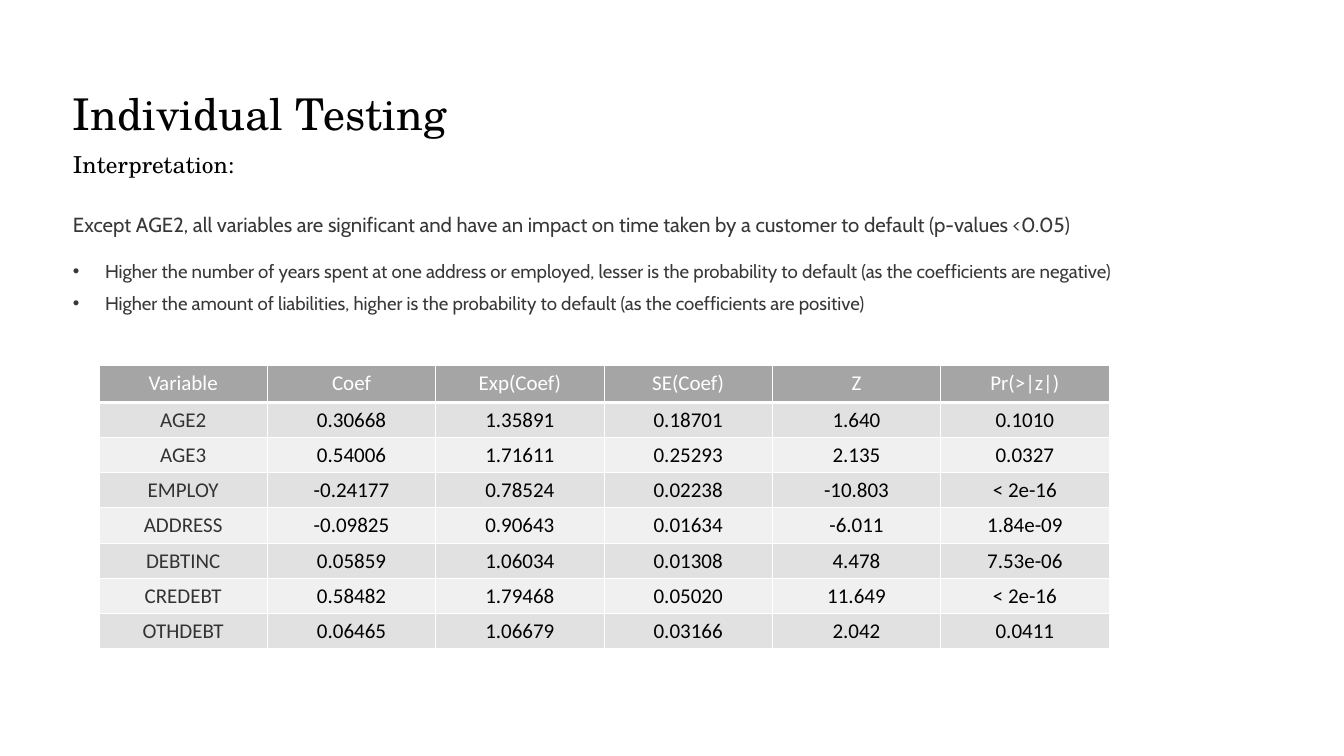
from lxml.etree import SubElement
from pptx import Presentation
from pptx.dml.color import RGBColor
from pptx.enum.text import MSO_ANCHOR as Anchor, PP_ALIGN as Align
from pptx.oxml.ns import qn
from pptx.util import Emu, Pt

COLORS = {
    "white": "FFFFFF", "title": "020202", "body": "383838",
    "header": "A5A5A5", "dark band": "E1E1E1", "light band": "F0F0F0",
    "label": "333333", "value": "000000",
}
SERIF, SANS, TABLE_FONT = "TeX Gyre Schola", "Cabin", "Calibri"
LEFT = 73
BULLET_INDENT = 32

TITLE = "Individual Testing"
SUBTITLE = "Interpretation:"
FINDING = ("Except AGE2, all variables are significant and have an impact on time "
           "taken by a customer to default (p-values <0.05)")
BULLETS = [
    "Higher the number of years spent at one address or employed, lesser is the "
    "probability to default (as the coefficients are negative)",
    "Higher the amount of liabilities, higher is the probability to default "
    "(as the coefficients are positive)",
]
RESULTS = [
    ("Variable", "Coef", "Exp(Coef)", "SE(Coef)", "Z", "Pr(>|z|)"),
    ("AGE2", "0.30668", "1.35891", "0.18701", "1.640", "0.1010"),
    ("AGE3", "0.54006", "1.71611", "0.25293", "2.135", "0.0327"),
    ("EMPLOY", "-0.24177", "0.78524", "0.02238", "-10.803", "< 2e-16"),
    ("ADDRESS", "-0.09825", "0.90643", "0.01634", "-6.011", "1.84e-09"),
    ("DEBTINC", "0.05859", "1.06034", "0.01308", "4.478", "7.53e-06"),
    ("CREDEBT", "0.58482", "1.79468", "0.05020", "11.649", "< 2e-16"),
    ("OTHDEBT", "0.06465", "1.06679", "0.03166", "2.042", "0.0411"),
]


def px(length):
    return Emu(round(length * 914400 / 84))


def color(name):
    return RGBColor.from_string(COLORS[name])


def write(para, text, *, font, size, ink):
    span = para.add_run()
    span.text = text
    span.font.name = font
    span.font.size = Pt(size)
    span.font.color.rgb = color(ink)


def add_bullet(para):
    properties = para._p.get_or_add_pPr()
    properties.set("marL", str(px(BULLET_INDENT)))
    properties.set("indent", str(-px(BULLET_INDENT)))
    SubElement(properties, qn("a:buFont"), typeface="Arial")
    SubElement(properties, qn("a:buChar"), char="•")


def add_text(page, text, *, top, width, height, leading, bullet=False, **style):
    box = page.shapes.add_textbox(px(LEFT), px(top), px(width), px(height))
    frame = box.text_frame
    frame.margin_left = frame.margin_right = 0
    frame.margin_top = frame.margin_bottom = 0
    para = frame.paragraphs[0]
    para.line_spacing = Pt(leading)
    if bullet:
        add_bullet(para)
    write(para, text, **style)


def add_borders(cell, bottom):
    """Draw white cell edges; bottom is the lower edge's width in points."""
    properties = cell._tc.get_or_add_tcPr()
    edges = [("a:lnL", 1), ("a:lnR", 1), ("a:lnT", 1), ("a:lnB", bottom)]
    for position, (tag, width) in enumerate(edges):
        line = SubElement(properties, qn(tag), w=str(Pt(width)))
        fill = SubElement(line, qn("a:solidFill"))
        SubElement(fill, qn("a:srgbClr"), val=COLORS["white"])
        properties.insert(position, line)


def fill_cell(cell, text, row, column):
    header = row == 0
    if header:
        band, ink = "header", "white"
    else:
        band = "dark band" if row % 2 else "light band"
        ink = "value" if column else "label"
    cell.fill.solid()
    cell.fill.fore_color.rgb = color(band)
    cell.vertical_anchor = Anchor.MIDDLE
    cell.margin_left = cell.margin_right = px(7)
    cell.margin_top = cell.margin_bottom = px(6 if header else 5)
    para = cell.text_frame.paragraphs[0]
    para.alignment = Align.CENTER
    write(para, text, font=TABLE_FONT, size=18, ink=ink)
    # The first body row shares its top edge with the thick header rule.
    add_borders(cell, bottom=3 if header else 1)
    if row == 1:
        cell._tc.tcPr.find(qn("a:lnT")).set("w", str(Pt(3)))


def add_results(page, *, left, top, width, row_height):
    rows, columns = len(RESULTS), len(RESULTS[0])
    table = page.shapes.add_table(rows, columns, px(left), px(top),
                                  px(width), px(row_height * rows)).table
    for column in table.columns:
        column.width = px(width / columns)
    for row, values in enumerate(RESULTS):
        for column, text in enumerate(values):
            fill_cell(table.cell(row, column), text, row, column)


def main():
    deck = Presentation()
    deck.slide_width, deck.slide_height = px(1344), px(756)
    page = deck.slides.add_slide(deck.slide_layouts[6])
    page.background.fill.solid()
    page.background.fill.fore_color.rgb = color("white")

    add_text(page, TITLE, top=85, width=442, height=55, leading=46.5,
             font=SERIF, size=37.5, ink="title")
    add_text(page, SUBTITLE, top=146, width=263, height=33, leading=28,
             font=SERIF, size=20, ink="title")
    add_text(page, FINDING, top=203, width=1198, height=34, leading=28.5,
             font=SANS, size=17.5, ink="body")
    for index, text in enumerate(BULLETS):
        add_text(page, text, top=256 + 32 * index, width=1198, height=27,
                 leading=22.5, bullet=True, font=SANS, size=16, ink="body")
    add_results(page, left=99, top=365, width=1010, row_height=34)
    deck.save("out.pptx")


if __name__ == "__main__":
    main()
